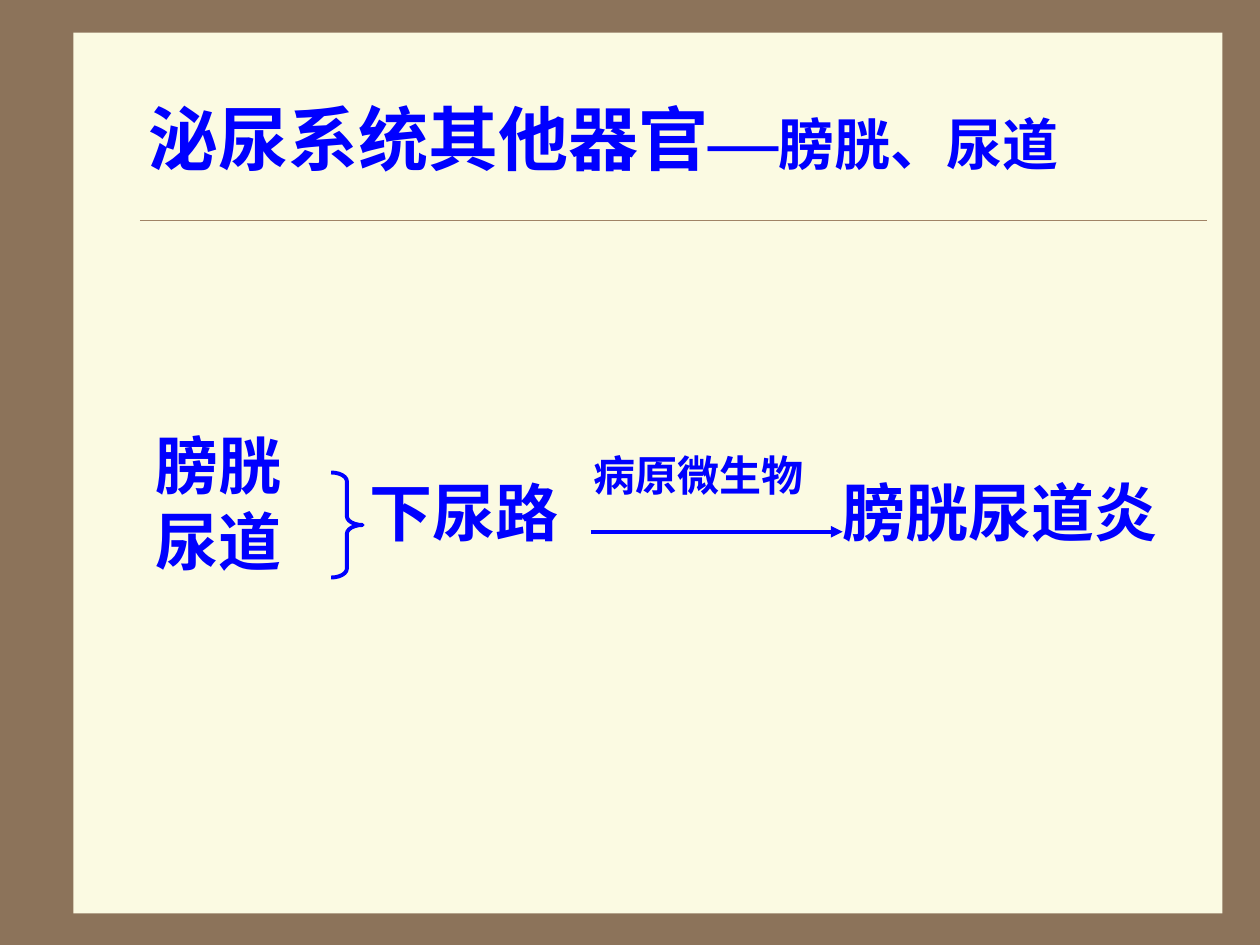
from lxml.etree import SubElement
from pptx import Presentation
from pptx.dml.color import RGBColor
from pptx.enum.shapes import MSO_CONNECTOR, MSO_SHAPE
from pptx.enum.text import MSO_ANCHOR, PP_ALIGN
from pptx.oxml.ns import qn
from pptx.util import Pt

COLORS = {"frame": "8C735A", "paper": "FBFAE2", "rule": "A08366", "ink": "0000FF"}
LATIN = "Times New Roman"
CJK = "Noto Sans CJK SC"


def color(name):
    return RGBColor.from_string(COLORS[name])


def apply(target, values):
    for name, value in values.items():
        setattr(target, name, value)


def add_span(para, text, size, latin=LATIN, asian=CJK):
    span = para.add_run()
    span.text = text
    apply(span.font, {"size": Pt(size), "bold": True, "name": latin})
    span.font.color.rgb = color("ink")
    SubElement(span.font._element, qn("a:ea"), typeface=asian)


def place(shape, box):
    apply(shape, dict(zip(("left", "top", "width", "height"), map(Pt, box))))


def add_label(page, box, lines, size, wrap=True, space=0):
    frame = page.shapes.add_textbox(*map(Pt, box)).text_frame
    frame.word_wrap = wrap
    for index, line in enumerate(lines):
        para = frame.add_paragraph() if index else frame.paragraphs[0]
        para.line_spacing = 0.83
        if index:
            para.space_before = Pt(space)
        add_span(para, line, size)


def add_line(page, start, end, ink, width):
    line = page.shapes.add_connector(MSO_CONNECTOR.STRAIGHT, *map(Pt, start + end))
    line.line.color.rgb = color(ink)
    line.line.width = Pt(width)
    SubElement(line._element.spPr, qn("a:effectLst"))
    return line


def add_backdrop(page, box):
    page.background.fill.solid()
    page.background.fill.fore_color.rgb = color("frame")
    paper = page.shapes.add_shape(MSO_SHAPE.RECTANGLE, *map(Pt, box))
    paper.shadow.inherit = False
    paper.fill.solid()
    paper.fill.fore_color.rgb = color("paper")
    paper.line.fill.background()
    page.shapes.title._element.addprevious(paper._element)
    left, top, width, height = box
    add_line(page, (left + 38, top + 107.3), (left + width - 8.8, top + 107.3), "rule", 0.25)


def add_title(page, box):
    title = page.shapes.title
    place(title, box)
    apply(title.text_frame, {"vertical_anchor": MSO_ANCHOR.MIDDLE, "word_wrap": True})
    para = title.text_frame.paragraphs[0]
    apply(para, {"alignment": PP_ALIGN.LEFT, "line_spacing": 0.95})
    add_span(para, "泌尿系统其他器官", 40)
    add_span(para, "—", 40, latin=CJK, asian=LATIN)
    add_span(para, "膀胱、尿道", 32)


def add_infection_path(page, box):
    left, top, width, height = box
    add_label(page, (left, top, 100, height), ["膀胱", "尿道"], 36, space=7.2)
    add_label(page, (left + 122, top + 26.5, 128, 50.4), ["下尿路"], 36, wrap=False)
    add_label(page, (left + 392.5, top + 26.5, width - 392.5, 50.4), ["膀胱尿道炎"], 36, wrap=False)
    add_label(page, (left + 250, top + 10.7, 164, 36), ["病原微生物"], 24)

    brace = page.shapes.add_shape(
        MSO_SHAPE.RIGHT_BRACE, Pt(left + 107.2), Pt(top + 22.3), Pt(18), Pt(60))
    brace.shadow.inherit = False
    brace.fill.background()
    brace.line.color.rgb = color("ink")
    brace.line.width = Pt(2.25)
    brace.adjustments[0] = 0.28

    arrow_y = top + 56.2
    arrow = add_line(page, (left + 255.5, arrow_y), (left + 399.5, arrow_y), "ink", 2.25)
    SubElement(arrow.line._get_or_add_ln(), qn("a:tailEnd"), type="triangle")


def main():
    deck = Presentation()
    apply(deck, {"slide_width": Pt(720), "slide_height": Pt(540)})
    page = deck.slides.add_slide(deck.slide_layouts[5])
    add_backdrop(page, (42, 18.7, 656.5, 503.3))
    add_title(page, (77.8, 36, 612, 90))
    add_infection_path(page, (82, 247.7, 606, 95.8))
    deck.save("out.pptx")


if __name__ == "__main__":
    main()
